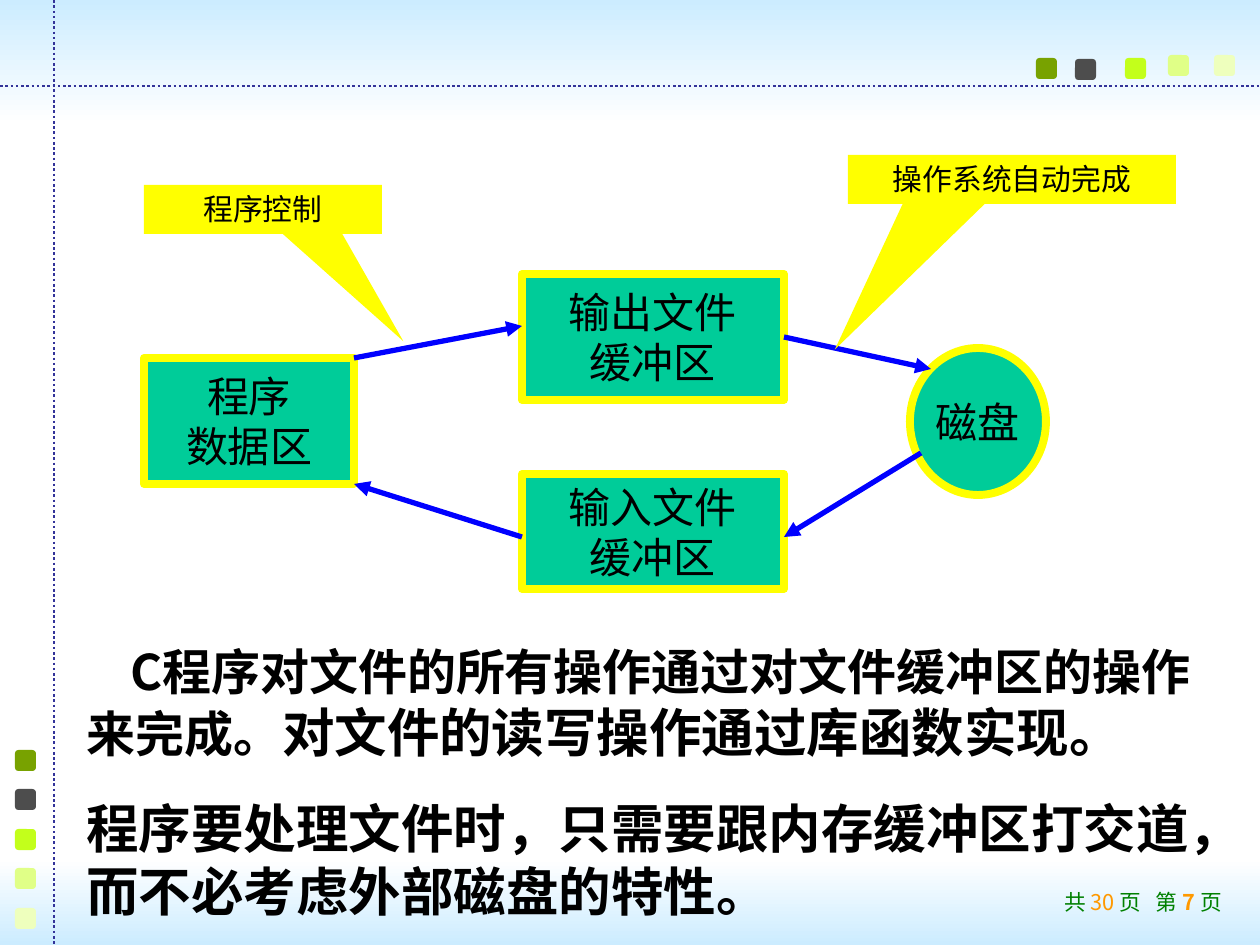
import pptx
import pptx.util
from lxml import etree
from pptx.dml.color import RGBColor
from pptx.enum.dml import MSO_LINE
from pptx.enum.shapes import MSO_CONNECTOR, MSO_SHAPE
from pptx.enum.text import MSO_ANCHOR, PP_ALIGN
from pptx.oxml.ns import qn


class Theme:
    sky, paper, rule = "CCECFF", "FFFFFF", "333399"
    squares = ["78A200", "4D4D4D", "C3FF1B", "E0FF87", "EEFFBD"]
    node, yellow, arrow = "00CC99", "FFFF00", "0000FF"
    ink, footer, number = "000000", "008000", "FF9900"
    sans, serif = "Noto Sans CJK SC", "Times New Roman"
    body_first, body, label, callout, small = 28, 30, 24, 17, 12.4
    leading = 1.2


PX = 914400 / 126


def px(*lengths):
    return [round(length * PX) for length in lengths]


def write(paragraph, text, size, color=Theme.ink, bold=False, latin=Theme.sans):
    """Add one run and keep the line height in step with its size."""
    run = paragraph.add_run()
    run.text = text
    run.font.size = pptx.util.Pt(size)
    run.font.bold = bold
    run.font.color.rgb = RGBColor.from_string(color)
    run.font.name = latin
    east_asian = etree.SubElement(run.font._element, qn("a:ea"))
    east_asian.set("typeface", Theme.sans)
    paragraph.line_spacing = pptx.util.Pt(round(size * Theme.leading, 1))
    return run


deck = pptx.Presentation()
deck.slide_width, deck.slide_height = px(1260, 945)
slide = deck.slides.add_slide(deck.slide_layouts[6])
shapes = slide.shapes

# Sky bands along the top and bottom
for top, height, colors in [(0, 125, (Theme.sky, Theme.paper)),
                            (859, 86, (Theme.paper, Theme.sky))]:
    band = shapes.add_shape(MSO_SHAPE.RECTANGLE, *px(0, top, 1260, height))
    band.shadow.inherit = False
    band.line.fill.background()
    band.fill.gradient()
    band.fill.gradient_angle = 270
    for stop, color, position in zip(band.fill.gradient_stops, colors, (0, 1)):
        stop.color.rgb = RGBColor.from_string(color)
        stop.position = position

# Dotted rules
for ends in [(0, 86, 1260, 86), (54, 0, 54, 945)]:
    rule = shapes.add_connector(MSO_CONNECTOR.STRAIGHT, *px(*ends))
    rule.line.color.rgb = RGBColor.from_string(Theme.rule)
    rule.line.width = pptx.util.Pt(1.5)
    rule.line.dash_style = MSO_LINE.ROUND_DOT
    etree.SubElement(rule._element.spPr, qn("a:effectLst"))

# Colored squares, one row and one column
row = [(1036, 58), (1075, 59), (1125, 58), (1168, 55), (1214, 55)]
column = [(15, 750 + 158 * i // 4) for i in range(5)]
for places in (row, column):
    for (left, top), color in zip(places, Theme.squares):
        square = shapes.add_shape(MSO_SHAPE.ROUNDED_RECTANGLE, *px(left, top, 21, 21))
        square.shadow.inherit = False
        square.fill.solid()
        square.fill.fore_color.rgb = RGBColor.from_string(color)
        square.line.fill.background()

# Page count
page_count = shapes.add_textbox(*px(903, 883, 331, 45)).text_frame
page_count.word_wrap = True
page_line = page_count.paragraphs[0]
page_line.alignment = PP_ALIGN.RIGHT
write(page_line, "共 ", Theme.small, Theme.footer)
write(page_line, "30 ", Theme.small, Theme.number)
write(page_line, "页", Theme.small, Theme.footer)
wide_gap = write(page_line, " ", Theme.small, Theme.footer)
wide_gap.font._element.set("spc", "560")
write(page_line, "第 ", Theme.small, Theme.footer)
write(page_line, "7 ", Theme.small, Theme.number, bold=True)
write(page_line, "页", Theme.small, Theme.footer)

# Explanation
explanation = shapes.add_textbox(*px(74, 631, 1131, 294)).text_frame
explanation.word_wrap = True
buffering = explanation.paragraphs[0]
buffering._p.get_or_add_pPr().set("indent", str(px(44)[0]))
write(buffering, "C程序对文件的所有操作通过对文件缓冲区的操作来完成。",
      Theme.body_first, bold=True)
write(buffering, "对文件的读写操作通过库函数实现。", Theme.body, bold=True)
consequence = explanation.add_paragraph()
consequence.space_before = pptx.util.Pt(18.7)
write(consequence, "程序要处理文件时，只需要跟内存缓冲区打交道，而不必考虑外部磁盘的特性。",
      Theme.body, bold=True)

# Data areas, buffers and disk
nodes = {}
for key, kind, place, lines in [
    ("data", MSO_SHAPE.RECTANGLE, (144, 358, 210, 126), ["程序", "数据区"]),
    ("output", MSO_SHAPE.RECTANGLE, (522, 274, 262, 126), ["输出文件", "缓冲区"]),
    ("input", MSO_SHAPE.RECTANGLE, (522, 474, 262, 115), ["输入文件", "缓冲区"]),
    ("disk", MSO_SHAPE.OVAL, (910, 348, 136, 147), ["磁盘"]),
]:
    node = nodes[key] = shapes.add_shape(kind, *px(*place))
    node.shadow.inherit = False
    node.fill.solid()
    node.fill.fore_color.rgb = RGBColor.from_string(Theme.node)
    node.line.color.rgb = RGBColor.from_string(Theme.yellow)
    node.line.width = pptx.util.Pt(4.5)
    frame = node.text_frame
    frame.word_wrap = False
    frame.vertical_anchor = MSO_ANCHOR.MIDDLE
    for i, line in enumerate(lines):
        paragraph = frame.add_paragraph() if i else frame.paragraphs[0]
        paragraph.alignment = PP_ALIGN.CENTER
        write(paragraph, line, Theme.label, latin=Theme.serif)

# Data flow
flows = {}
for key, ends in [("data to output", (354, 358, 522, 326)),
                  ("input to data", (522, 537, 354, 484)),
                  ("output to disk", (784, 337, 931, 369)),
                  ("disk to input", (921, 453, 784, 537))]:
    flow = flows[key] = shapes.add_connector(MSO_CONNECTOR.STRAIGHT, *px(*ends))
    flow.line.color.rgb = RGBColor.from_string(Theme.arrow)
    flow.line.width = pptx.util.Pt(3)
    etree.SubElement(flow.line._get_or_add_ln(), qn("a:tailEnd")).set("type", "triangle")
    etree.SubElement(flow._element.spPr, qn("a:effectLst"))
flows["output to disk"].begin_connect(nodes["output"], 3)

# Callouts
for place, tip, label in [
    ((848, 155, 328, 49), (-0.54, 3.47), "操作系统自动完成"),
    ((144, 185, 238, 49), (0.59, 2.69), "程序控制"),
]:
    callout = shapes.add_shape(MSO_SHAPE.RECTANGULAR_CALLOUT, *px(*place))
    callout.shadow.inherit = False
    callout.adjustments[0], callout.adjustments[1] = tip
    callout.fill.solid()
    callout.fill.fore_color.rgb = RGBColor.from_string(Theme.yellow)
    callout.line.fill.background()
    callout.text_frame.word_wrap = True
    callout.text_frame.vertical_anchor = MSO_ANCHOR.TOP
    paragraph = callout.text_frame.paragraphs[0]
    paragraph.alignment = PP_ALIGN.CENTER
    write(paragraph, label, Theme.callout)

deck.save("out.pptx")
